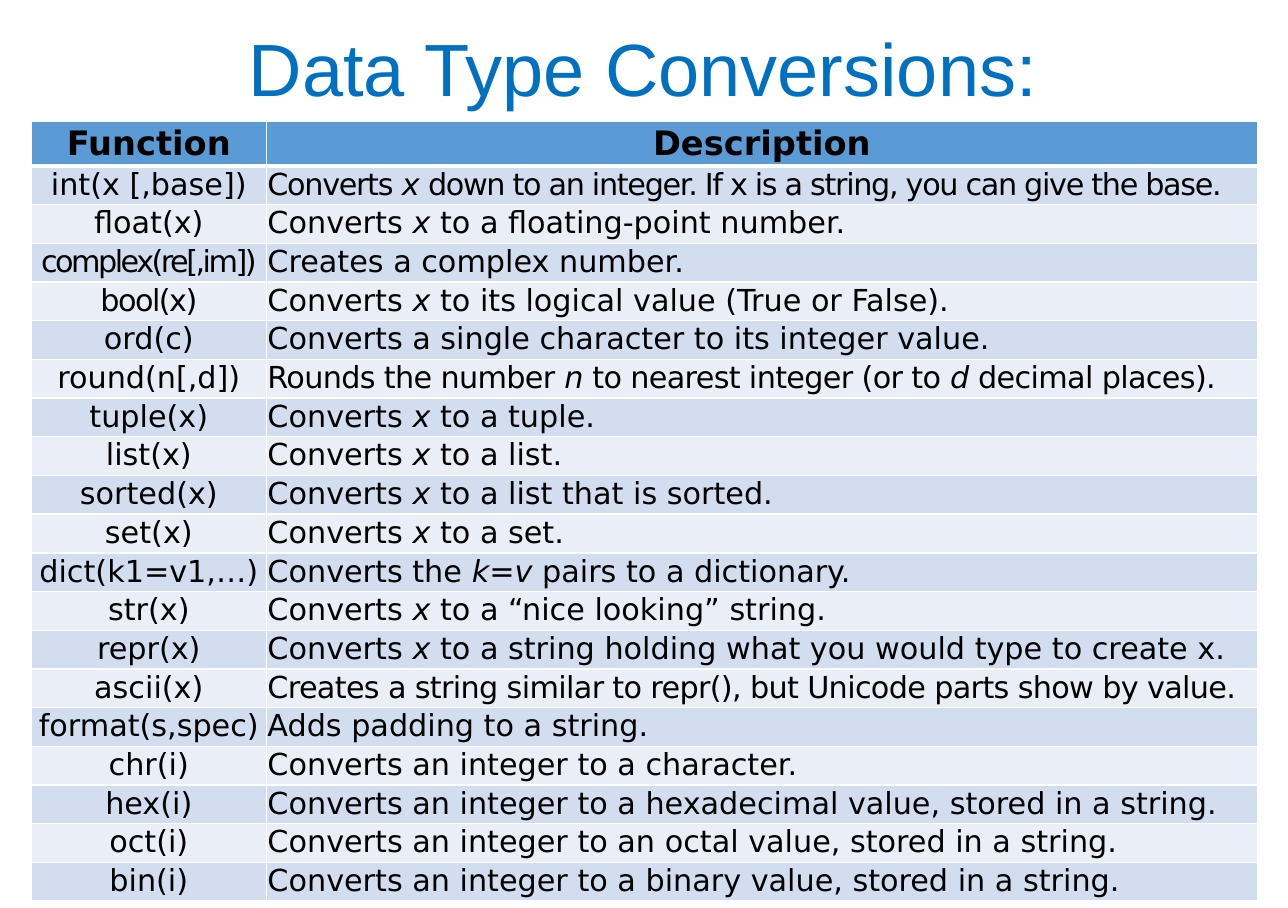
from dataclasses import dataclass
from lxml.etree import SubElement as Sub
from pptx import Presentation
from pptx.dml.color import RGBColor as Rgb
from pptx.enum.text import MSO_ANCHOR as Anchor, PP_ALIGN as Align
from pptx.oxml.ns import qn
from pptx.util import Inches, Pt


@dataclass
class Theme:
    title: str = "0070C0"
    text: str = "000000"
    head: str = "5B9BD5"
    bands: tuple = ("EAEFF7", "D2DEEF")
    line: str = "FFFFFF"
    title_font: str = "Arial"
    font: str = "DejaVu Sans"
    title_size: int = 44
    head_size: int = 20
    size: int = 18


theme = Theme()


def add_run(para, text, font, size, color, bold=False, slant=False, gap=0):
    run = para.add_run()
    run.text = text
    run.font.name, run.font.size = font, Pt(size)
    run.font.bold, run.font.italic = bold, slant
    run.font.color.rgb = Rgb.from_string(color)
    if gap:
        run.font._element.set("spc", str(round(gap * 100)))


def add_lines(cell, low):
    props = cell._tc.get_or_add_tcPr()
    for side, width in (("L", 1), ("R", 1), ("T", 1), ("B", low)):
        line = Sub(props, qn("a:ln" + side), w=str(Pt(width)))
        fill = Sub(line, qn("a:solidFill"))
        Sub(fill, qn("a:srgbClr"), val=theme.line)


# Function, description; asterisks enclose italic text
rows = [
    ("Function", "Description"),
    ("int(x [,base])", "Converts *x *down to an integer. If x is a string, you can give the base."),
    ("float(x)", "Converts *x* to a floating-point number."),
    ("complex(re[,im])", "Creates a complex number."),
    ("bool(x)", "Converts *x *to its logical value (True or False)."),
    ("ord(c)", "Converts a single character to its integer value."),
    ("round(n[,d])", "Rounds the number *n* to nearest integer (or to *d* decimal places)."),
    ("tuple(x)", "Converts *x *to a tuple."),
    ("list(x)", "Converts *x *to a list."),
    ("sorted(x)", "Converts *x *to a list that is sorted."),
    ("set(x)", "Converts *x *to a set."),
    ("dict(k1=v1,…)", "Converts the *k=v* pairs to a dictionary."),
    ("str(x)", "Converts *x* to a “nice looking” string."),
    ("repr(x)", "Converts *x* to a string holding what you would type to create x."),
    ("ascii(x)", "Creates a string similar to repr(), but Unicode parts show by value."),
    ("format(s,spec)", "Adds padding to a string."),
    ("chr(i)", "Converts an integer to a character."),
    ("hex(i)", "Converts an integer to a hexadecimal value, stored in a string."),
    ("oct(i)", "Converts an integer to an octal value, stored in a string."),
    ("bin(i)", "Converts an integer to a binary value, stored in a string."),
]
# Letter spacing in points, by row and column
tight = {(1, 1): -0.8, (3, 0): -1.5, (4, 0): -0.9, (6, 1): -0.4, (14, 1): -0.4}

# Slide
deck = Presentation()
deck.slide_width, deck.slide_height = Inches(10.64), Inches(7.5)
slide = deck.slides.add_slide(deck.slide_layouts[5])

# Title
title = slide.shapes.title
title.left, title.top = Inches(0.94), Inches(0.12)
title.width, title.height = Inches(8.75), Inches(0.96)
frame = title.text_frame
frame.vertical_anchor = Anchor.MIDDLE
para = frame.paragraphs[0]
para.alignment, para.line_spacing = Align.CENTER, 0.9
add_run(para, "Data Type Conversions:", theme.title_font, theme.title_size, theme.title)

# Table grid
wide = (1.94, 8.19)
high = [0.37] + [0.32] * (len(rows) - 1)
table = slide.shapes.add_table(len(rows), len(wide), Inches(0.26), Inches(1),
                               Inches(sum(wide)), Inches(sum(high))).table
for col, width in zip(table.columns, wide):
    col.width = Inches(width)
for row, height in zip(table.rows, high):
    row.height = Inches(height)

# Table cells
for r, texts in enumerate(rows):
    head = r == 0
    for c, text in enumerate(texts):
        cell = table.cell(r, c)
        cell.margin_left = cell.margin_right = cell.margin_top = Inches(0.01)
        cell.margin_bottom = 0
        cell.vertical_anchor = Anchor.MIDDLE if head else Anchor.TOP
        add_lines(cell, 3 if head else 1)
        cell.fill.solid()
        cell.fill.fore_color.rgb = Rgb.from_string(theme.head if head else theme.bands[r % 2])
        para = cell.text_frame.paragraphs[0]
        para.alignment = Align.CENTER if head or c == 0 else Align.JUSTIFY
        for k, part in enumerate(text.split("*")):
            add_run(para, part, theme.font, theme.head_size if head else theme.size,
                    theme.text, head, k % 2 == 1, tight.get((r, c), 0))

deck.save("out.pptx")
